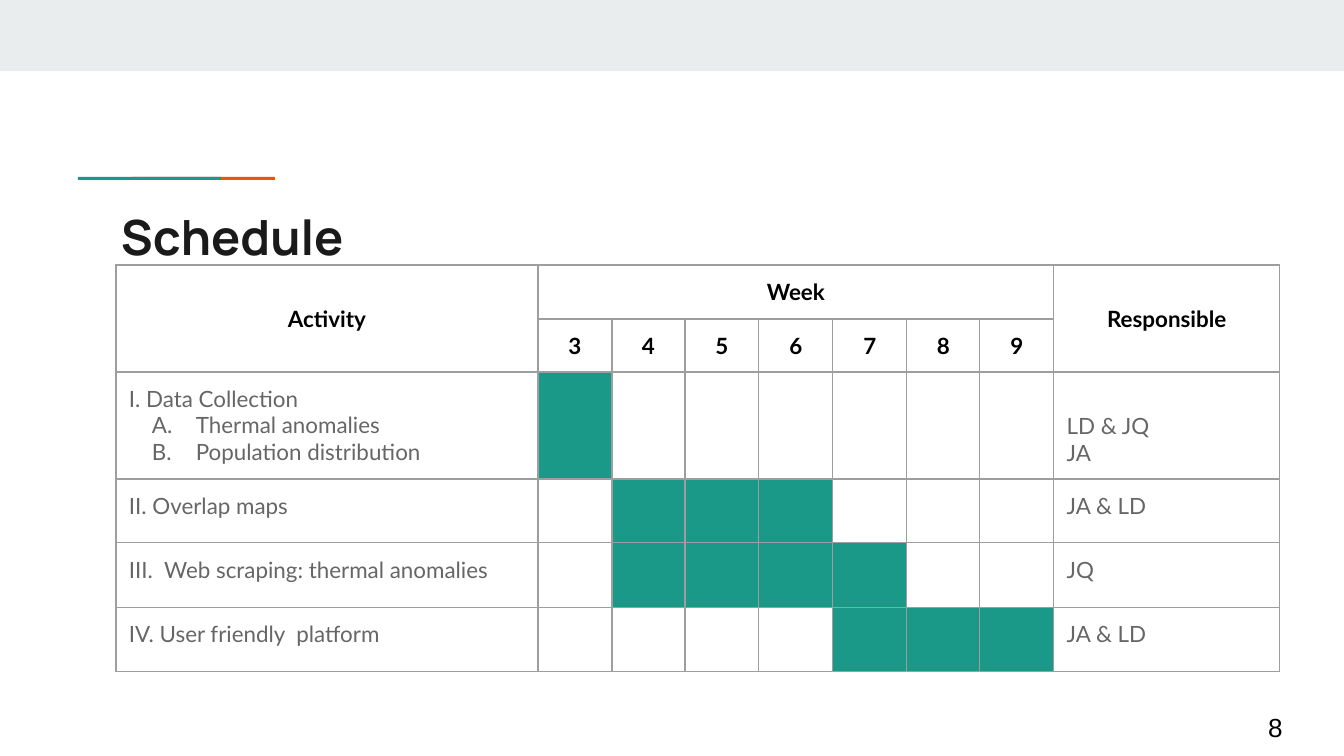
from dataclasses import dataclass

from lxml.etree import SubElement
from pptx import Presentation
from pptx.dml.color import RGBColor
from pptx.enum.shapes import MSO_SHAPE
from pptx.enum.text import MSO_ANCHOR, PP_ALIGN
from pptx.oxml.ns import qn
from pptx.util import Emu, Pt

EMU_PER_PX = 9144000 / 1344
INSET = 13
GREEN, ORANGE, BAND = "1A9988", "EB5600", "E9EDEE"
BLACK, TITLE_INK, GREY, BORDER = "000000", "1A1A1A", "666666", "9E9E9E"
WEEKS = range(3, 10)
RESPONSIBLE_COLUMN = len(WEEKS) + 1
WEEKS_WIDTH = 516
WEEK_EDGES = [round(WEEKS_WIDTH * step / len(WEEKS)) for step in range(len(WEEKS) + 1)]
WEEK_WIDTHS = [right - left for left, right in zip(WEEK_EDGES, WEEK_EDGES[1:])]
COLUMN_WIDTHS = [422, *WEEK_WIDTHS, 226]
ROW_HEIGHTS = [54, 53, 107, 64, 65, 64]


@dataclass(frozen=True)
class Bar:
    left: int
    top: int
    width: int
    height: int
    color: str


@dataclass(frozen=True)
class TextStyle:
    font: str
    size: int
    color: str
    bold: bool = False


@dataclass(frozen=True)
class Activity:
    lines: list[str]
    first_week: int
    last_week: int
    responsible: list[str]


HEADER = TextStyle("Lato", 12, BLACK, True)
BODY = TextStyle("Lato", 12, GREY)
BARS = [
    Bar(0, 0, 1344, 71, BAND),
    Bar(132, 177, 143, 3, ORANGE),
    Bar(78, 177, 143, 3, GREEN),
]
ACTIVITIES = [
    Activity(["I. Data Collection", "Thermal anomalies", "Population distribution"],
             3, 3, ["LD & JQ", "JA"]),
    Activity(["II. Overlap maps"], 4, 6, ["JA & LD"]),
    Activity(["III.  Web scraping: thermal anomalies"], 4, 7, ["JQ"]),
    Activity(["IV. User friendly  platform"], 7, 9, ["JA & LD"]),
]


def px(length: int) -> Emu:
    return Emu(round(length * EMU_PER_PX))


def rgb(color: str) -> RGBColor:
    return RGBColor.from_string(color)


def style_paragraph(para, style: TextStyle, align=PP_ALIGN.LEFT) -> None:
    para.alignment = align
    for span in para.runs:
        span.font.name = style.font
        span.font.size = Pt(style.size)
        span.font.bold = style.bold
        span.font.color.rgb = rgb(style.color)


def set_insets(target) -> None:
    """Give a cell or a text frame the same inset on every side."""
    target.margin_left = target.margin_right = px(INSET)
    target.margin_top = target.margin_bottom = px(INSET)


def add_bar(page, bar: Bar) -> None:
    shape = page.shapes.add_shape(
        MSO_SHAPE.RECTANGLE, px(bar.left), px(bar.top), px(bar.width), px(bar.height))
    shape.shadow.inherit = False
    shape.fill.solid()
    shape.fill.fore_color.rgb = rgb(bar.color)
    shape.line.fill.background()


def add_text(page, text: str, left: int, top: int, width: int, height: int,
             style: TextStyle, anchor=MSO_ANCHOR.TOP) -> None:
    box = page.shapes.add_textbox(px(left), px(top), px(width), px(height))
    frame = box.text_frame
    frame.word_wrap = True
    frame.vertical_anchor = anchor
    set_insets(frame)
    frame.text = text
    style_paragraph(frame.paragraphs[0], style)


def prepare_cell(cell) -> None:
    """Set the insets, the grid lines, no fill and the height of an empty line."""
    set_insets(cell)
    properties = cell._tc.get_or_add_tcPr()
    for side in ("a:lnL", "a:lnR", "a:lnT", "a:lnB"):
        line = SubElement(properties, qn(side), w=str(Pt(0.75)))
        solid = SubElement(line, qn("a:solidFill"))
        SubElement(solid, qn("a:srgbClr"), val=BORDER)
    cell.fill.background()
    empty_line = cell.text_frame.paragraphs[0]._p
    SubElement(empty_line, qn("a:endParaRPr"), sz=str(BODY.size * 100))


def fill_cell(cell, lines: list[str], style: TextStyle, align=PP_ALIGN.LEFT,
              anchor=MSO_ANCHOR.TOP) -> None:
    cell.text_frame.text = "\n".join(lines)
    cell.vertical_anchor = anchor
    for para in cell.text_frame.paragraphs:
        style_paragraph(para, style, align)


def letter_paragraph(para) -> None:
    """Number a paragraph A., B., ... with a hanging indent."""
    properties = para._p.get_or_add_pPr()
    properties.set("marL", str(px(67)))
    properties.set("indent", str(px(-44)))
    bullet_color = SubElement(properties, qn("a:buClr"))
    SubElement(bullet_color, qn("a:srgbClr"), val=GREY)
    SubElement(properties, qn("a:buAutoNum"), type="alphaUcPeriod")


def add_headers(table) -> None:
    table.cell(0, 0).merge(table.cell(1, 0))
    table.cell(0, 1).merge(table.cell(0, len(WEEKS)))
    table.cell(0, RESPONSIBLE_COLUMN).merge(table.cell(1, RESPONSIBLE_COLUMN))
    labels = {(0, 0): "Activity", (0, 1): "Week", (0, RESPONSIBLE_COLUMN): "Responsible"}
    labels |= {(1, column): str(week) for column, week in enumerate(WEEKS, 1)}
    for position, label in labels.items():
        fill_cell(table.cell(*position), [label], HEADER, PP_ALIGN.CENTER, MSO_ANCHOR.MIDDLE)


def add_activity(table, row: int, activity: Activity) -> None:
    name = table.cell(row, 0)
    fill_cell(name, activity.lines, BODY)
    for para in name.text_frame.paragraphs[1:]:
        letter_paragraph(para)
    for column, week in enumerate(WEEKS, 1):
        if activity.first_week <= week <= activity.last_week:
            fill = table.cell(row, column).fill
            fill.solid()
            fill.fore_color.rgb = rgb(GREEN)
    # Names line up with the lettered steps at the foot of the row.
    anchor = MSO_ANCHOR.BOTTOM if len(activity.lines) > 1 else MSO_ANCHOR.TOP
    fill_cell(table.cell(row, RESPONSIBLE_COLUMN), activity.responsible, BODY, anchor=anchor)


def add_schedule(page, left: int, top: int) -> None:
    table = page.shapes.add_table(
        len(ROW_HEIGHTS), len(COLUMN_WIDTHS), px(left), px(top),
        px(sum(COLUMN_WIDTHS)), px(sum(ROW_HEIGHTS))).table
    table.first_row = table.horz_banding = False
    for column, width in zip(table.columns, COLUMN_WIDTHS):
        column.width = px(width)
    for row, height in zip(table.rows, ROW_HEIGHTS):
        row.height = px(height)
    for cell in table.iter_cells():
        prepare_cell(cell)
    add_headers(table)
    for row, activity in enumerate(ACTIVITIES, 2):
        add_activity(table, row, activity)


def main() -> None:
    deck = Presentation()
    deck.slide_width, deck.slide_height = px(1344), px(756)
    page = deck.slides.add_slide(deck.slide_layouts[6])
    for bar in BARS:
        add_bar(page, bar)
    add_text(page, "Schedule", 108, 194, 1130, 79, TextStyle("Manrope", 26, TITLE_INK, True))
    add_schedule(page, 116, 265)
    add_text(page, "8", 1255, 698, 81, 58, TextStyle("Arial", 14, BLACK), MSO_ANCHOR.MIDDLE)
    deck.save("out.pptx")


if __name__ == "__main__":
    main()
